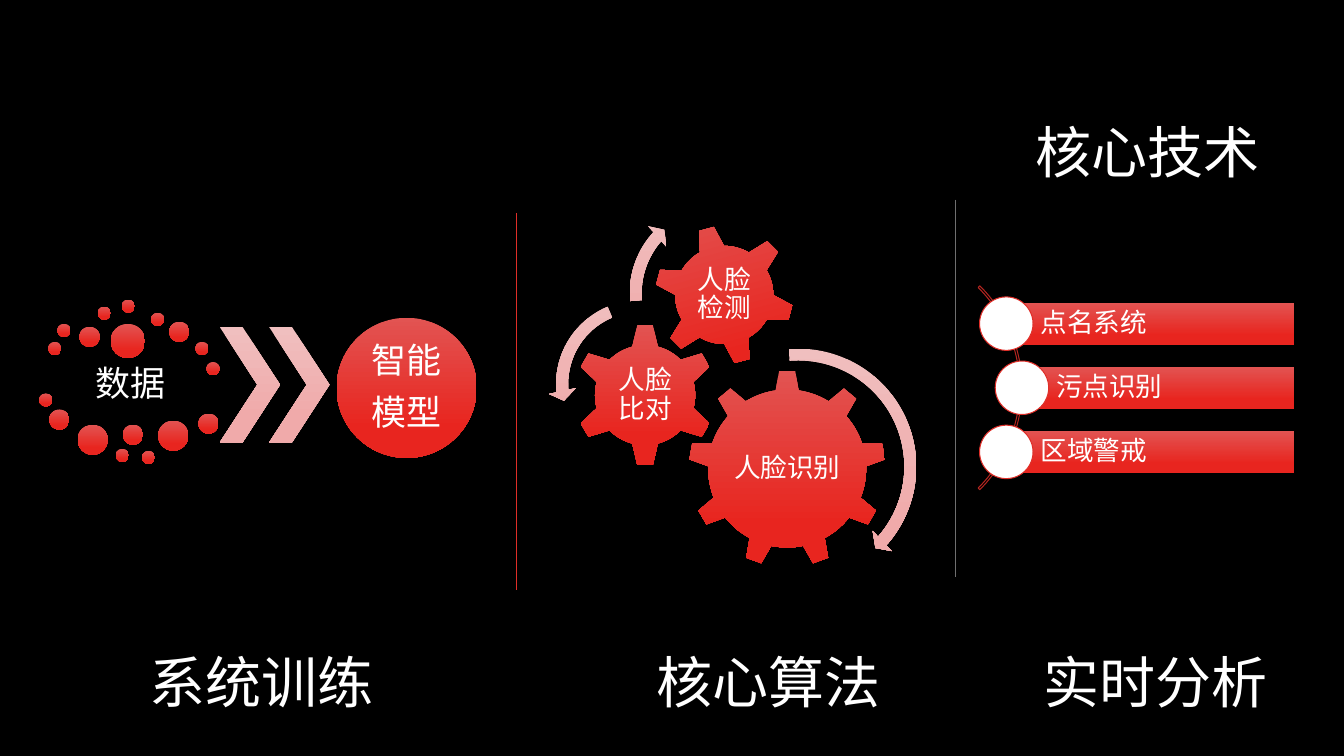
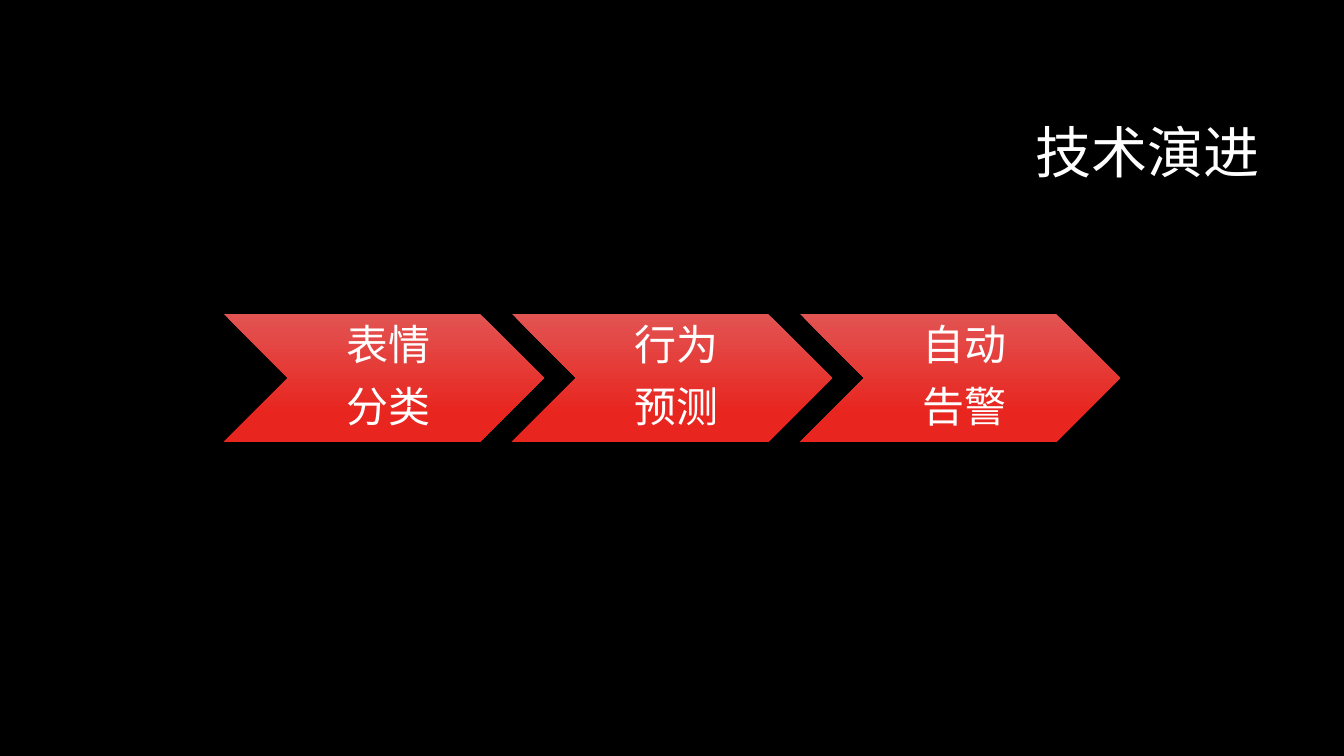
from lxml import etree
from pptx import Presentation
from pptx.dml.color import RGBColor
from pptx.enum.lang import MSO_LANGUAGE_ID as Lang
from pptx.enum.shapes import MSO_CONNECTOR, MSO_SHAPE as Shape
from pptx.enum.text import MSO_ANCHOR, PP_ALIGN as Align
from pptx.oxml.ns import qn
from pptx.util import Pt

FONT = "League Spartan"
BLACK = RGBColor(0x00, 0x00, 0x00)
WHITE = RGBColor(0xFF, 0xFF, 0xFF)
RED = RGBColor(0xDF, 0x2E, 0x28)
DARK_RED = RGBColor(0xB3, 0x25, 0x20)
GREY = RGBColor(0x6F, 0x6F, 0x6F)
RED_FADE = (RGBColor(0xE2, 0x54, 0x52), RGBColor(0xE8, 0x25, 0x1F))
PINK_FADE = (RGBColor(0xF0, 0xBF, 0xBF), RGBColor(0xF0, 0xAA, 0xAA))

DOTS = {  # diameter: top left corners
    9.4: [(6.5, 30.2), (13, 17.3), (41.8, 5), (59, 0), (79.9, 9.4),
          (111.6, 30.2), (119.5, 44.6), (0, 67), (54.7, 106.6), (73.4, 108)],
    14.4: [(28.8, 19.4), (92.9, 15.8), (7.2, 78.5), (59.8, 89.3), (113.8, 81.4)],
    21.6: [(27.4, 89.3), (85, 86.4)],
    24.5: [(51.1, 17.3)],
}
GEARS = [  # shape, x, y, size, label width, rotation, label
    (Shape.GEAR_9, 101.8, 128.2, 141, 84.2, 0, "人脸识别"),
    (Shape.GEAR_6, 19.7, 95.1, 102.2, 51.1, 0, "人脸比对"),
    (Shape.GEAR_6, 77.3, 24.6, 100.1, 56.2, 345, "人脸检测"),
]
ARROWS = [  # shape, x, y, size, adjustments
    (Shape.CIRCULAR_ARROW, 90.2, 107.4, 180, (0.047, 2.99, 24.886, 159.221, 0.055)),
    (Shape.LEFT_CIRCULAR_ARROW, 1.7, 72.8, 131, (0.065, 4.3, 104.891, 148.378, 0.075)),
    (Shape.CIRCULAR_ARROW, 54.2, 3, 141.1, (0.06, 3.941, 133.138, 105.082, 0.07)),
]


def new_slide(prs, title):
    s = prs.slides.add_slide(prs.slide_layouts[6])
    s.background.fill.solid()
    s.background.fill.fore_color.rgb = BLACK
    add_label(s, (228.2, 60.5, 678.2, 101.5), [title], 40, Align.RIGHT)
    return s


def write(sp, lines, size, align=Align.CENTER, insets=(7.2, 3.6, 7.2, 3.6), after=0.4):
    """Fill a shape with paragraphs; after is the space below as a share of size."""
    tf = sp.text_frame
    tf.word_wrap = True
    tf.vertical_anchor = MSO_ANCHOR.MIDDLE
    for side, inset in zip(("left", "top", "right", "bottom"), insets):
        setattr(tf, f"margin_{side}", Pt(inset))
    for i, line in enumerate(lines):
        p = tf.add_paragraph() if i else tf.paragraphs[0]
        p.alignment, p.line_spacing, p.space_after = align, 0.9, Pt(after * size)
        r = p.add_run()
        r.text = line
        fmt = {"name": FONT, "size": Pt(size), "language_id": Lang.SIMPLIFIED_CHINESE}
        for key, value in fmt.items():
            setattr(r.font, key, value)
        r.font.color.rgb = WHITE
        etree.SubElement(r.font._element, qn("a:ea"), typeface=FONT)


def add_label(s, box, lines, size, align=Align.CENTER, insets=(7.2, 3.6, 7.2, 3.6), after=0):
    sp = s.shapes.add_textbox(*map(Pt, box))
    write(sp, lines, size, align, insets, after)


def add_shape(s, kind, box, fade=None, fill=None, line=None, adj=()):
    sp = s.shapes.add_shape(kind, *map(Pt, box))
    sp.shadow.inherit = False
    if fade:
        sp.fill.gradient()
        sp.fill.gradient_angle = 270
        for stop, color, position in zip(sp.fill.gradient_stops, fade, (0, 0.78)):
            stop.color.rgb = color
            stop.position = position
    elif fill:
        sp.fill.solid()
        sp.fill.fore_color.rgb = fill
    else:
        sp.fill.background()
    if line:
        sp.line.color.rgb = line
        sp.line.width = Pt(0.75)
    else:
        sp.line.fill.background()
    for i, value in enumerate(adj):
        sp.adjustments[i] = value
    return sp


def add_divider(s, x, top, color):
    line = s.shapes.add_connector(
        MSO_CONNECTOR.STRAIGHT, Pt(x), Pt(top), Pt(x), Pt(top + 269.3))
    line.line.color.rgb = color
    line.line.width = Pt(0.75)
    etree.SubElement(line._element.spPr, qn("a:effectLst"))


def add_training(s, x, y):
    """Cloud of data dots that flows into the model circle."""
    add_label(s, (x + 6.5, y + 41.8, 118.1, 38.9), ["数据"], 25, insets=(2.2,) * 4, after=0.4)
    for d, corners in DOTS.items():
        for dx, dy in corners:
            add_shape(s, Shape.OVAL, (x + dx, y + dy, d, d), RED_FADE)
    for i in range(2):
        add_shape(s, Shape.CHEVRON, (x + 128.9 + i * 35.3, y + 19.4, 43.2, 82.8),
                  PINK_FADE, adj=(0.623,))
    model = add_shape(s, Shape.OVAL, (x + 212.4, y + 13, 100.1, 100.1), RED_FADE)
    write(model, ["智能", "模型"], 25, insets=(0,) * 4)


def add_gears(s, x, y):
    for kind, dx, dy, d, width, rotation, text in GEARS:
        gear = add_shape(s, kind, (x + dx, y + dy, d, d), RED_FADE)
        gear.rotation = rotation
        inset = (d - width) / 2
        add_label(s, (x + dx + inset, y + dy + inset, width, width), [text], 19,
                  insets=(2.2,) * 4, after=0.4)
    for kind, dx, dy, d, adj in ARROWS:
        add_shape(s, kind, (x + dx, y + dy, d, d), PINK_FADE, adj=adj)


def add_analysis(s, x, y, w, h):
    """Bars with round heads, strung along an arc."""
    middle, bar_h, ball, arc = y + h / 2, 30.2, 38.2, 205.9
    add_shape(s, Shape.BLOCK_ARC, (x - 72.9 - arc / 2, middle - arc / 2, arc, arc),
              line=DARK_RED, adj=(189, 27, 0.008))
    for i, text in enumerate(["点名系统", "污点识别", "区域警戒"]):
        left = x + (30 if i == 1 else 18.8)
        center = middle + (i - 1) * 45.8
        bar = add_shape(s, Shape.RECTANGLE,
                        (left, center - bar_h / 2, x + w - left, bar_h), RED_FADE)
        write(bar, [text], 19, Align.LEFT, (24.5, 3.6, 3.6, 3.6))
        add_shape(s, Shape.OVAL, (left - ball / 2, center - ball / 2, ball, ball),
                  fill=WHITE, line=RED)


def add_steps(s, x, y, w, h):
    for i, lines in enumerate([("表情", "分类"), ("行为", "预测"), ("自动", "告警")]):
        step = add_shape(s, Shape.CHEVRON, (x + i * w * 0.9, y, w, h), RED_FADE)
        write(step, lines, 30, insets=(9.4, 2.9, 2.9, 2.9))


def main():
    prs = Presentation()
    prs.slide_width, prs.slide_height = Pt(960), Pt(540)

    s = new_slide(prs, "核心技术")
    add_gears(s, 390, 136)
    add_training(s, 28, 214)
    add_analysis(s, 700, 212, 224.3, 130)
    for text, x, w, align in [("系统训练", 39.6, 294.5, Align.CENTER),
                              ("核心算法", 441.4, 194.4, Align.RIGHT),
                              ("实时分析", 697, 256.3, Align.CENTER)]:
        add_label(s, (x, 438.5, w, 101.5), [text], 40, align)
    add_divider(s, 368.7, 152, RED)
    add_divider(s, 682.6, 142.6, GREY)

    s = new_slide(prs, "技术演进")
    add_steps(s, 160, 224.3, 228.6, 91.4)
    prs.save("out.pptx")


if __name__ == "__main__":
    main()
